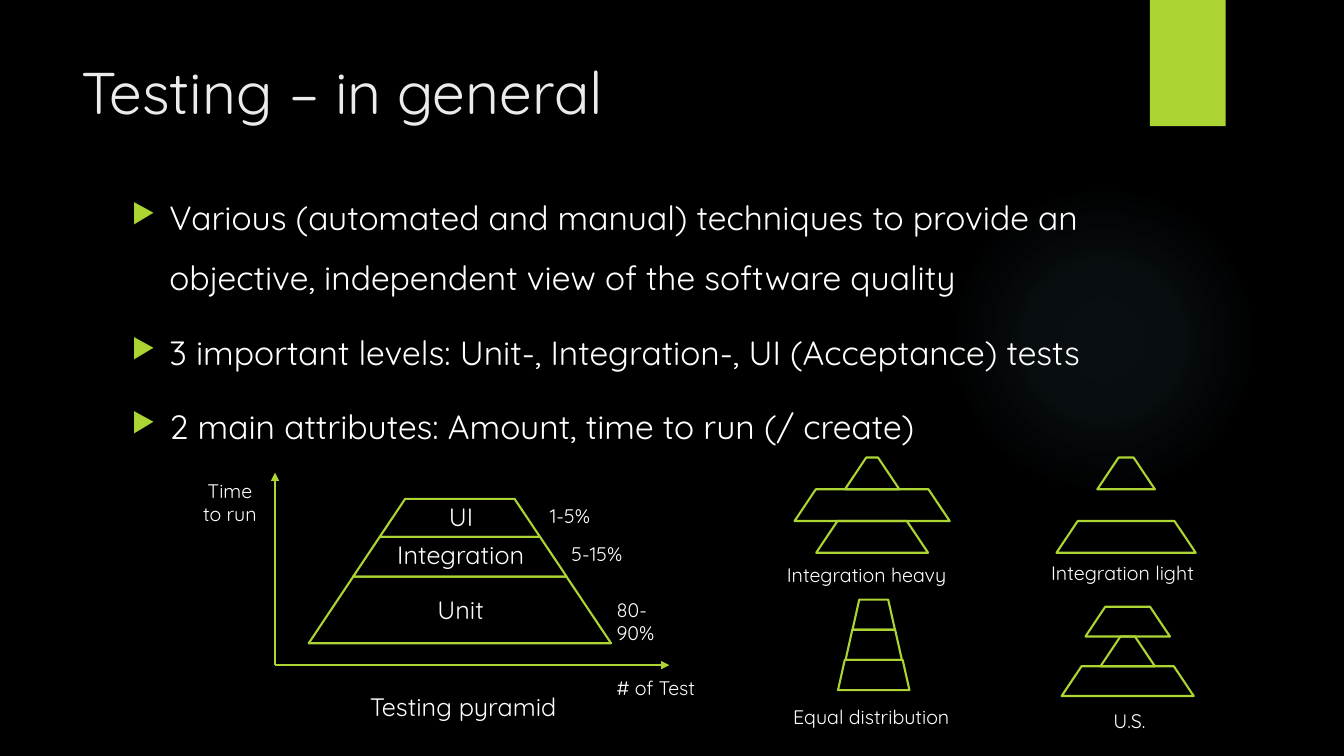
from lxml import etree
from pptx import Presentation
from pptx import util as u
from pptx.dml.color import RGBColor
from pptx.enum import shapes, text
from pptx.oxml import ns, parse_xml

FONT = "Quicksand"
LIME, WHITE, BLACK = "ACD433", "FFFFFF", "000000"
LEFT, CENTER = text.PP_ALIGN.LEFT, text.PP_ALIGN.CENTER

TITLE = "Testing – in general"
BULLETS = [
    "Various (automated and manual) techniques to provide an objective, "
    "independent view of the software quality",
    "3 important levels: Unit-, Integration-, UI (Acceptance) tests",
    "2 main attributes: Amount, time to run (/ create)",
]

GLOW_COLOR = "7AC4F0"
GLOW_STOPS = [(0, 7), (36, 6), (69, 0)]

# centre, top, slant, (width, height) of each level from the top down
STACKS = [
    (11.59, 12.57, 0.669, [(4.04, 0.96), (5.38, 1.0), (7.62, 1.68)]),
    (21.98, 11.53, 0.669, [(1.37, 0.8), (3.91, 0.8), (2.82, 0.8)]),
    (28.38, 11.53, 0.669, [(1.45, 0.8), (0, 0.8), (3.51, 0.8)]),
    (22.02, 15.11, 0.224, [(1.07, 0.76), (1.42, 0.76), (1.8, 0.76)]),
    (28.42, 15.29, 0.669, [(2.13, 0.75), (1.37, 0.75), (3.33, 0.75)]),
]

# text, left, top, width, size, alignment, wrap
LABELS = [
    ("UI", 10.59, 12.52, 2.06, 18, CENTER, True),
    ("Integration", 9.17, 13.46, 4.88, 18, CENTER, True),
    ("Unit", 10.11, 14.86, 3.0, 18, CENTER, True),
    ("Testing pyramid", 9.07, 17.3, 5.38, 18, LEFT, False),
    ("1-5%", 13.61, 12.57, 1.63, 14, LEFT, False),
    ("5-15%", 14.15, 13.54, 1.91, 14, LEFT, False),
    ("80-90%", 15.29, 14.94, 1.78, 14, LEFT, True),
    ("# of Test", 15.29, 16.92, 2.54, 14, LEFT, False),
    ("Time\vto run", 4.78, 11.94, 2.03, 14, CENTER, False),
    ("Integration heavy", 19.58, 14.05, 4.8, 14, LEFT, False),
    ("Integration light", 26.24, 14.02, 4.29, 14, LEFT, False),
    ("Equal distribution", 19.74, 17.63, 4.6, 14, LEFT, False),
    ("U.S.", 27.81, 17.75, 1.37, 14, LEFT, False),
]

AXIS_ORIGIN = (6.93, 16.76)
AXIS_ENDS = [(16.87, 16.76), (6.93, 11.91)]


def color(value):
    return RGBColor.from_string(value)


def lengths(*values):
    return [u.Cm(value) for value in values]


def add_figure(page, kind, *place):
    figure = page.shapes.add_shape(kind, *lengths(*place))
    figure.shadow.inherit = False
    figure.fill.background()
    figure.line.fill.background()
    return figure


def add_glow(page):
    glow = add_figure(page, shapes.MSO_SHAPE.OVAL, 23.9, 4.65, 7.82, 7.82)
    stops = "".join(
        f'<a:gs pos="{place * 1000}"><a:srgbClr val="{GLOW_COLOR}">'
        f'<a:alpha val="{alpha * 1000}"/></a:srgbClr></a:gs>'
        for place, alpha in GLOW_STOPS)
    gradient = parse_xml(
        f'<a:gradFill {ns.nsdecls("a")}><a:gsLst>{stops}</a:gsLst>'
        '<a:path path="circle"><a:fillToRect l="50000" t="50000" '
        'r="50000" b="50000"/></a:path></a:gradFill>')
    properties = glow.element.spPr
    properties.replace(properties.find(ns.qn("a:noFill")), gradient)


def add_text(page, lines, place, size, ink=WHITE, align=LEFT, wrap=True):
    box = page.shapes.add_textbox(*lengths(*place))
    frame = box.text_frame
    frame.word_wrap = wrap
    frame.text = "\n".join(lines)
    for para in frame.paragraphs:
        para.alignment = align
        para.font.size = u.Pt(size)
        para.font.name = FONT
        para.font.color.rgb = color(ink)
    return frame


def add_bullet(para):
    para.line_spacing = 1.5
    para.space_before = u.Pt(10)
    properties = para._p.get_or_add_pPr()
    properties.set("marL", str(u.Cm(0.95)))
    properties.set("indent", str(u.Cm(-0.95)))
    bullet = parse_xml(
        f'<a:pPr {ns.nsdecls("a")}><a:buClr><a:srgbClr val="{LIME}"/></a:buClr>'
        '<a:buSzPct val="80000"/><a:buChar char="▶"/></a:pPr>')
    place = len(properties.findall(ns.qn("a:lnSpc")))
    place += len(properties.findall(ns.qn("a:spcBef")))
    for offset, part in enumerate(list(bullet)):
        properties.insert(place + offset, part)


def add_stack(page, center, top, slant, levels):
    for width, height in levels:
        if width:
            level = add_figure(page, shapes.MSO_SHAPE.TRAPEZOID,
                               center - width / 2, top, width, height)
            level.adjustments[0] = slant
            level.line.color.rgb = color(LIME)
            level.line.width = u.Pt(1.5)
        top += height


def add_axis(page, end):
    axis = page.shapes.add_connector(
        shapes.MSO_CONNECTOR.STRAIGHT, *lengths(*AXIS_ORIGIN, *end))
    axis.line.color.rgb = color(LIME)
    axis.line.width = u.Pt(1.5)
    etree.SubElement(axis.line._get_or_add_ln(), ns.qn("a:tailEnd"), type="triangle")
    etree.SubElement(axis.element.spPr, ns.qn("a:effectLst"))


def main():
    deck = Presentation()
    deck.slide_width, deck.slide_height = lengths(33.87, 19.05)
    page = deck.slides.add_slide(deck.slide_layouts[6])
    page.background.fill.solid()
    page.background.fill.fore_color.rgb = color(BLACK)

    add_glow(page)
    banner = add_figure(page, shapes.MSO_SHAPE.RECTANGLE, 28.98, 0, 1.91, 3.18)
    banner.fill.solid()
    banner.fill.fore_color.rgb = color(LIME)

    add_text(page, [TITLE], (1.8, 1.27, 26.14, 3.89), 42, "EBEBEB")
    body = add_text(page, BULLETS, (3.07, 4.32, 27.97, 5.77), 24)
    for para in body.paragraphs:
        add_bullet(para)

    for stack in STACKS:
        add_stack(page, *stack)
    for end in AXIS_ENDS:
        add_axis(page, end)
    for label, left, top, width, size, align, wrap in LABELS:
        height = size * 0.044 * (1 + label.count("\v")) + 0.25
        frame = add_text(page, [label], (left, top, width, height), size,
                         align=align, wrap=wrap)
        frame.auto_size = text.MSO_AUTO_SIZE.SHAPE_TO_FIT_TEXT

    deck.save("out.pptx")


if __name__ == "__main__":
    main()
